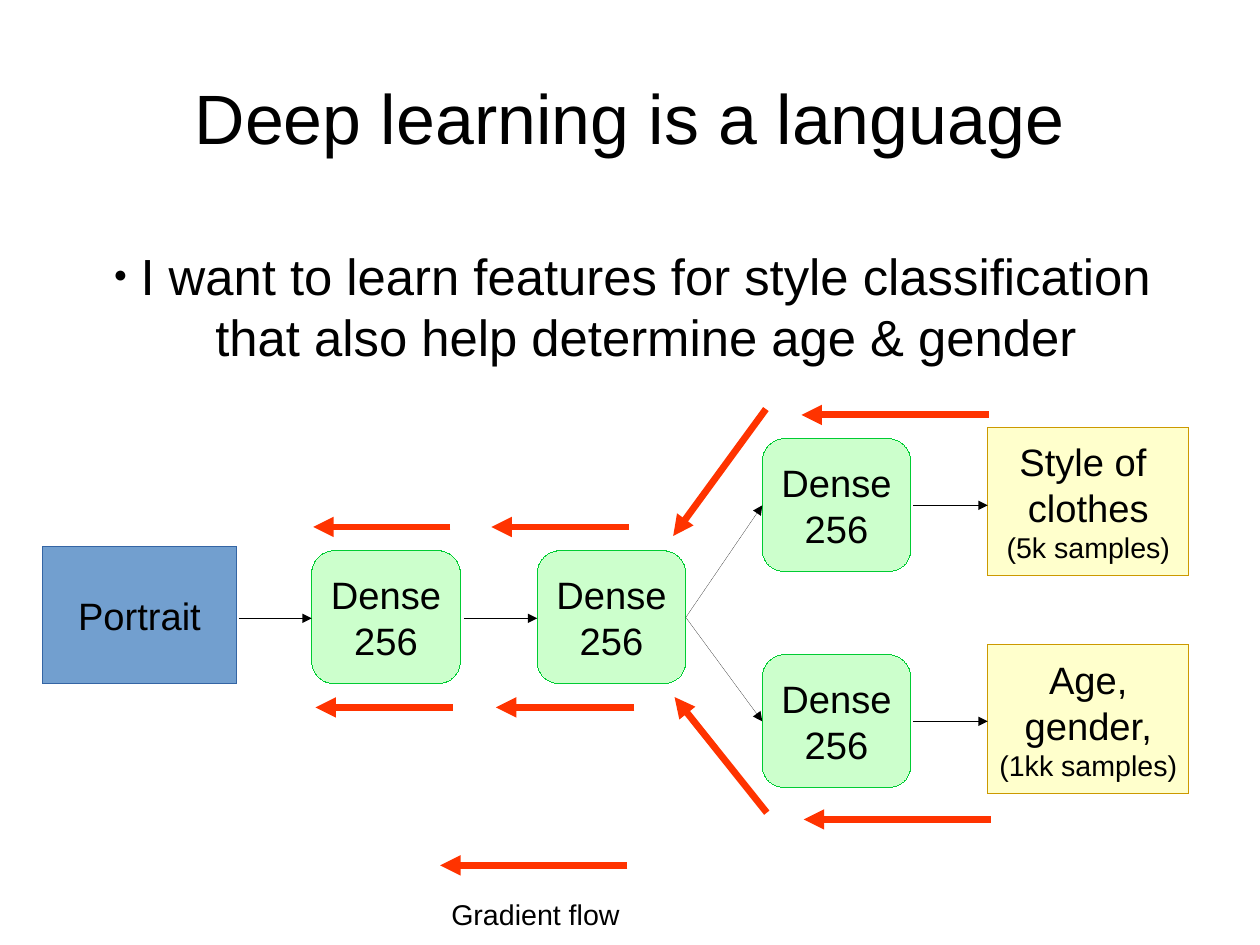
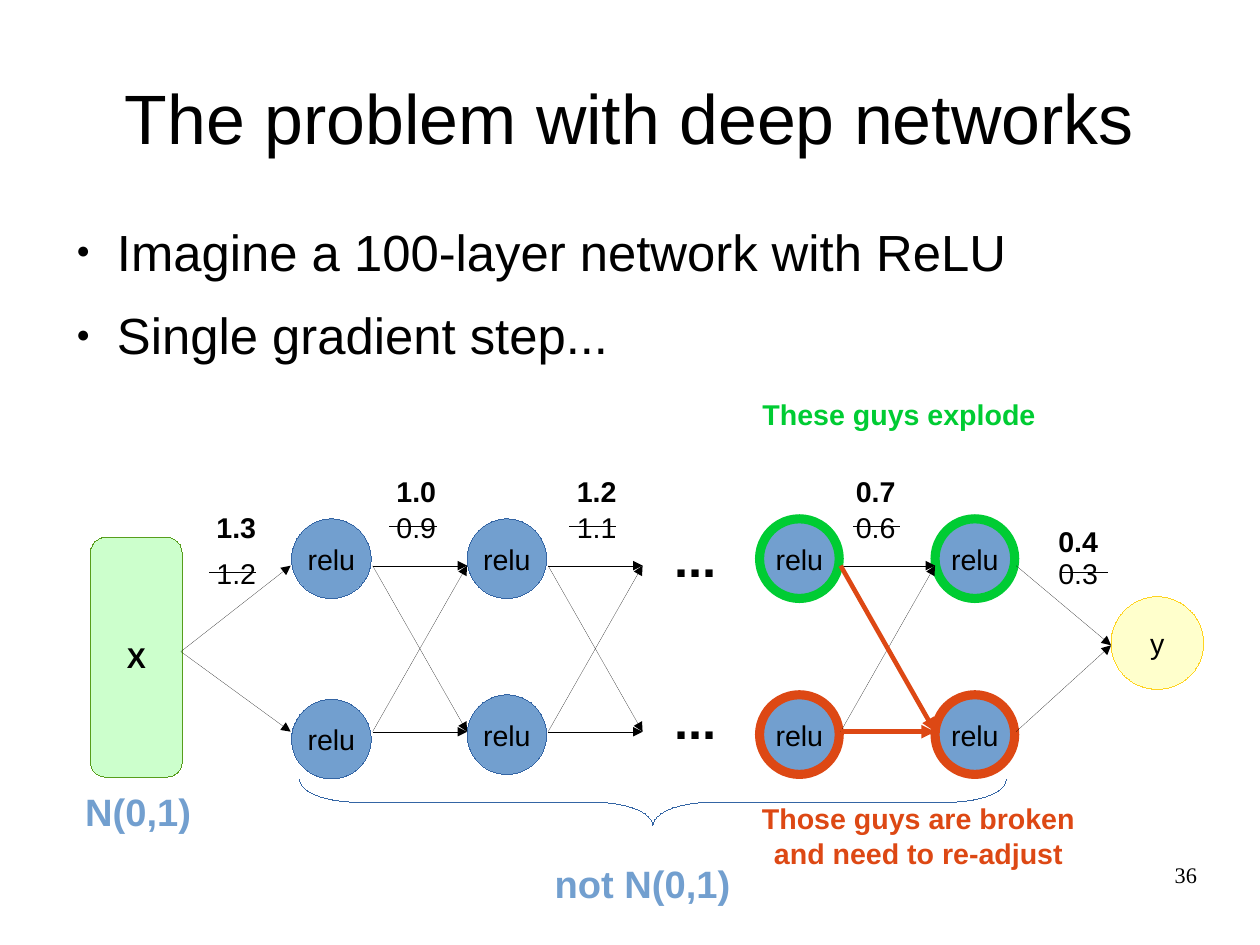
from dataclasses import dataclass

import pptx
import pptx.dml.color
import pptx.enum.shapes
import pptx.enum.text
import pptx.oxml.ns
import pptx.util
from lxml import etree
from pptx.util import Cm

SHAPE = pptx.enum.shapes.MSO_SHAPE
ALIGN = pptx.enum.text.PP_ALIGN
ANCHOR = pptx.enum.text.MSO_ANCHOR


@dataclass(frozen=True)
class Theme:
    font: str = "Arial"
    number_font: str = "Times New Roman"
    ink: str = "000000"
    blue: str = "729FCF"
    blue_edge: str = "3465A4"
    mint: str = "CCFFCC"
    mint_edge: str = "579D1C"
    green: str = "00CC33"
    cream: str = "FFFFCC"
    cream_edge: str = "CC9900"
    yellow: str = "FFD320"
    gradient: str = "FF3300"
    broken: str = "DD4814"
    title: int = 44
    body: int = 32
    large: int = 24
    small: int = 18
    number: int = 14
    hairline: float = 0.01
    strong: float = 2.89
    thick: float = 4.31
    ring: float = 5.75


THEME = Theme()
TITLE_BOX = (1.4, 0.84, 25.2, 3.5)

# Content of the multi-task slide: lengths in cm
LANGUAGE = {
    "title": "Deep learning is a language",
    "goal": "I want to learn features for style classification\v"
            "that also help determine age & gender",
    "dense": ["Dense", "256"],
    "dense_size": (3.3, 2.95),
    "dense_at": [(6.93, 12.24), (11.94, 12.24), (16.94, 9.75), (16.94, 14.55)],
    "outputs": [("Style of \vclothes", "(5k samples)", 9.5),
                ("Age,\vgender,", "(1kk samples)", 14.33)],
    "forward": [
        ((5.31, 13.74), (6.93, 13.74)), ((10.31, 13.74), (11.94, 13.74)),
        ((15.24, 13.72), (16.94, 11.23)), ((15.24, 13.72), (16.94, 16.03)),
        ((20.29, 11.23), (21.95, 11.23)), ((20.29, 16.03), (21.95, 16.03)),
    ],
    "gradients": [
        ((21.97, 9.22), (17.81, 9.22)), ((17.02, 9.09), (14.96, 11.91)),
        ((13.97, 11.71), (10.92, 11.71)), ((10.01, 11.71), (6.96, 11.71)),
        ((22.02, 18.21), (17.86, 18.21)), ((17.04, 18.06), (14.99, 15.49)),
        ((14.1, 15.72), (11.02, 15.72)), ((10.06, 15.72), (7.01, 15.72)),
        ((13.94, 19.23), (9.78, 19.23)),
    ],
}

# Content of the deep network slide: lengths in cm
DEEP = {
    "title": "The problem with deep networks",
    "bullets": ["Imagine a 100-layer network with ReLU",
                "Single gradient step..."],
    # new value, old value, left, top of new, top of old, left of strike
    "weights": [
        ("1.3", "1.2", 4.56, 11.2, 12.22, 4.65),
        ("1.0", "0.9", 8.56, 10.41, 11.2, 8.66),
        ("1.2", "1.1", 12.57, 10.41, 11.2, 12.65),
        ("0.7", "0.6", 18.77, 10.41, 11.2, 18.97),
        ("0.4", "0.3", 23.27, 11.51, 12.22, 23.57),
    ],
    # left, top of upper unit, top of lower unit, is hit by the step
    "layers": [(6.48, 11.53, 15.54, False), (10.38, 11.53, 15.44, False),
               (16.88, 11.53, 15.44, True), (20.78, 11.53, 15.44, True)],
    # left of source layer, is hit by the step
    "links": [(6.48, False), (10.38, False), (16.88, True)],
    "notes": [
        (["These guys explode"], (16.38, 8.69, 7.2, 0.97),
         THEME.small, THEME.green),
        (["Those guys are broken", "and need to re-adjust"],
         (16.21, 17.68, 8.4, 1.68), THEME.small, THEME.broken),
        (["N(0,1)"], (1.07, 17.4, 4, 1.19), THEME.large, THEME.blue),
        (["not N(0,1)"], (11.53, 19, 5.5, 1.19), THEME.large, THEME.blue),
        (["..."], (14.45, 11.58, 2, 1.52), THEME.body, THEME.ink),
        (["..."], (14.45, 15.19, 2, 1.52), THEME.body, THEME.ink),
    ],
    "number": "36",
}
PITCH, UNIT = 3.9, 1.77
ROWS = (12.57, 16.26)


def rgb(value):
    return pptx.dml.color.RGBColor.from_string(value)


def add_bullet(paragraph, indent, hang):
    props = paragraph._p.get_or_add_pPr()
    props.set("marL", str(Cm(indent)))
    props.set("indent", str(-Cm(hang)))
    for tag, key, value in (("buSzPct", "val", "45000"),
                            ("buFont", "typeface", THEME.font),
                            ("buChar", "char", "●")):
        etree.SubElement(props, pptx.oxml.ns.qn("a:" + tag)).set(key, value)


def write(frame, lines, sizes, color=THEME.ink, bold=False, align=ALIGN.LEFT,
          font=THEME.font, bullet=None, after=None):
    """Fill a text frame; sizes holds one size per line or one for all."""
    if isinstance(sizes, int):
        sizes = [sizes] * len(lines)
    for index, (line, size) in enumerate(zip(lines, sizes)):
        paragraph = frame.paragraphs[0] if index == 0 else frame.add_paragraph()
        paragraph.text = line
        paragraph.alignment = align
        if after:
            paragraph.space_after = pptx.util.Pt(after)
        if bullet:
            add_bullet(paragraph, *bullet)
        paragraph.font.name = font
        paragraph.font.size = pptx.util.Pt(size)
        paragraph.font.bold = bold
        paragraph.font.color.rgb = rgb(color)


def add_text(slide, box, lines, sizes, wrap=False, inset=True,
             anchor=ANCHOR.TOP, **style):
    frame = slide.shapes.add_textbox(*map(Cm, box)).text_frame
    frame.word_wrap = wrap
    frame.vertical_anchor = anchor
    if not inset:
        frame.margin_left = frame.margin_right = 0
        frame.margin_top = frame.margin_bottom = 0
    write(frame, lines, sizes, **style)


def add_node(slide, kind, box, fill, edge, lines=(), sizes=THEME.small,
             width=THEME.hairline, bold=False):
    node = slide.shapes.add_shape(kind, *map(Cm, box))
    node.shadow.inherit = False
    if fill:
        node.fill.solid()
        node.fill.fore_color.rgb = rgb(fill)
    else:
        node.fill.background()
    node.line.color.rgb = rgb(edge)
    node.line.width = pptx.util.Pt(width)
    frame = node.text_frame
    frame.word_wrap = False
    frame.vertical_anchor = ANCHOR.MIDDLE
    write(frame, lines, sizes, bold=bold, align=ALIGN.CENTER)
    return node


def add_line(slide, start, end, color=THEME.ink, width=THEME.hairline,
             arrow=True):
    line = slide.shapes.add_connector(
        pptx.enum.shapes.MSO_CONNECTOR.STRAIGHT, *map(Cm, (*start, *end)))
    line.line.color.rgb = rgb(color)
    line.line.width = pptx.util.Pt(width)
    if arrow:
        head = etree.SubElement(line.line._get_or_add_ln(),
                                pptx.oxml.ns.qn("a:tailEnd"))
        head.set("type", "triangle")
    etree.SubElement(line._element.spPr, pptx.oxml.ns.qn("a:effectLst"))


def add_slide(deck, title):
    slide = deck.slides.add_slide(deck.slide_layouts[6])
    add_text(slide, TITLE_BOX, [title], THEME.title, wrap=True, inset=False,
             anchor=ANCHOR.MIDDLE, align=ALIGN.CENTER)
    return slide


def build_language(deck):
    slide = add_slide(deck, LANGUAGE["title"])
    add_text(slide, (0.25, 5.31, 27.64, 6.58), [LANGUAGE["goal"]], THEME.body,
             wrap=True, align=ALIGN.CENTER, bullet=(0.6, 0.6))

    # Network blocks
    add_node(slide, SHAPE.RECTANGLE, (0.94, 12.14, 4.32, 3.05), THEME.blue,
             THEME.blue_edge, ["Portrait"], THEME.large)
    for place in LANGUAGE["dense_at"]:
        add_node(slide, SHAPE.ROUNDED_RECTANGLE,
                 place + LANGUAGE["dense_size"], THEME.mint, THEME.green,
                 LANGUAGE["dense"], THEME.large)
    for label, samples, top in LANGUAGE["outputs"]:
        add_node(slide, SHAPE.RECTANGLE, (21.95, top, 4.47, 3.3), THEME.cream,
                 THEME.cream_edge, [label, samples],
                 (THEME.large, THEME.small))

    # Forward links, gradient flow and its legend
    for start, end in LANGUAGE["forward"]:
        add_line(slide, start, end)
    for start, end in LANGUAGE["gradients"]:
        add_line(slide, start, end, THEME.gradient, THEME.thick)
    add_text(slide, (9.78, 19.81, 5.5, 0.97), ["Gradient flow"], THEME.small)


def build_deep(deck):
    slide = add_slide(deck, DEEP["title"])
    add_text(slide, (1.4, 4.9, 25.2, 12.17), DEEP["bullets"], THEME.body,
             wrap=True, inset=False, bullet=(1.2, 0.9), after=14.2)

    # Input, output and hidden units
    add_node(slide, SHAPE.ROUNDED_RECTANGLE, (2.01, 11.94, 2.04, 5.33),
             THEME.mint, THEME.mint_edge, ["X"], bold=True)
    add_node(slide, SHAPE.OVAL, (24.69, 13.26, 2.06, 2.06), THEME.cream,
             THEME.yellow, ["y"])
    for left, upper, lower, hit in DEEP["layers"]:
        for top, ring in ((upper, THEME.green), (lower, THEME.broken)):
            add_node(slide, SHAPE.OVAL, (left, top, UNIT, UNIT), THEME.blue,
                     ring if hit else THEME.blue_edge, ["relu"],
                     width=THEME.ring if hit else THEME.hairline)

    # Links: input to first layer, between layers, last layer to output
    for row in ROWS:
        add_line(slide, (4.02, 14.48), (6.46, row))
        add_line(slide, (22.58, row), (24.69, 14.34))
    for left, hit in DEEP["links"]:
        for target in ROWS:
            broken = hit and target == ROWS[1]
            style = (THEME.broken, THEME.strong) if broken else ()
            for source in ROWS:
                add_line(slide, (left + 1.8, source), (left + PITCH, target),
                         *style)

    # Weights before and after the step
    for new, old, left, new_top, old_top, strike in DEEP["weights"]:
        add_text(slide, (left, old_top, 1.8, 0.97), [old], THEME.small)
        add_text(slide, (left, new_top, 1.8, 0.97), [new], THEME.small,
                 bold=True)
        height = old_top + 0.51
        add_line(slide, (strike, height), (strike + 1.03, height), arrow=False)

    # Remarks, brace and slide number
    for lines, box, size, color in DEEP["notes"]:
        add_text(slide, box, lines, size, color=color, bold=True,
                 align=ALIGN.CENTER)
    brace = add_node(slide, SHAPE.RIGHT_BRACE, (14, 9.98, 1.02, 15.7), None,
                     THEME.blue_edge)
    brace.rotation = 90
    brace.adjustments[0] = 1.28
    add_text(slide, (20.07, 19.13, 6.53, 1.45), [DEEP["number"]],
             THEME.number, wrap=True, inset=False, align=ALIGN.RIGHT,
             font=THEME.number_font)


def main():
    deck = pptx.Presentation()
    deck.slide_width, deck.slide_height = Cm(28), Cm(21)
    build_language(deck)
    build_deep(deck)
    deck.save("out.pptx")


if __name__ == "__main__":
    main()
